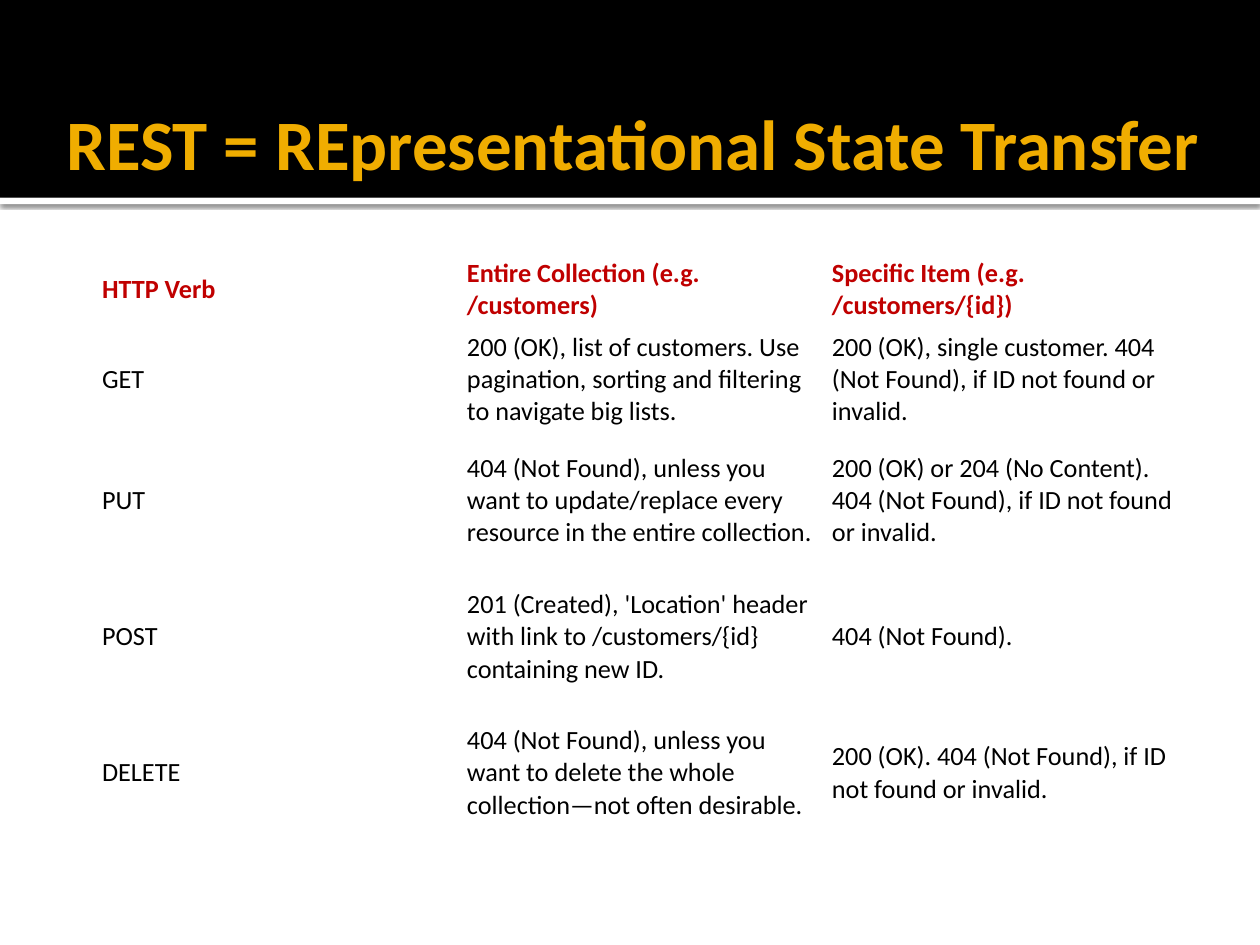
"""Build a slide on REST verbs and their responses."""
from lxml.etree import SubElement
from pptx import Presentation
from pptx.dml.color import RGBColor
from pptx.enum.shapes import MSO_SHAPE
from pptx.enum.text import MSO_ANCHOR, MSO_AUTO_SIZE, PP_ALIGN
from pptx.oxml.ns import qn
from pptx.util import Inches, Pt

BLACK = RGBColor(0x00, 0x00, 0x00)
WHITE = RGBColor(0xFF, 0xFF, 0xFF)
GOLD = RGBColor(0xF0, 0xAD, 0x00)
RED = RGBColor(0xC0, 0x00, 0x00)
FONT = "Calibri"

ROW_HEIGHTS = (0.58, 0.83, 1.08, 1.08, 1.08)
RESPONSES = (
    ("HTTP Verb", "Entire Collection (e.g. /customers)",
     "Specific Item (e.g. /customers/{id})"),
    ("GET",
     "200 (OK), list of customers. Use pagination, sorting and filtering to navigate big lists.",
     "200 (OK), single customer. 404 (Not Found), if ID not found or invalid."),
    ("PUT",
     "404 (Not Found), unless you want to update/replace every resource in the entire collection.",
     "200 (OK) or 204 (No Content). 404 (Not Found), if ID not found or invalid."),
    ("POST",
     "201 (Created), 'Location' header with link to /customers/{id} containing new ID.",
     "404 (Not Found)."),
    ("DELETE",
     "404 (Not Found), unless you want to delete the whole collection—not often desirable.",
     "200 (OK). 404 (Not Found), if ID not found or invalid."),
)


def style_runs(paragraph, size, color, bold):
    """Format every run of a paragraph."""
    for run in paragraph.runs:
        run.font.name = FONT
        run.font.size = Pt(size)
        run.font.bold = bold
        run.font.color.rgb = color


def add_band(slide, top, height, color):
    """Add a plain band across the slide."""
    band = slide.shapes.add_shape(
        MSO_SHAPE.RECTANGLE, 0, Inches(top), Inches(10), Inches(height))
    band.fill.solid()
    band.fill.fore_color.rgb = color
    band.line.fill.background()
    band.shadow.inherit = False
    return band


def add_drop_shadow(band):
    """Give a band a soft shadow below it."""
    effects = band.element.spPr.find(qn("a:effectLst"))
    shadow = SubElement(effects, qn("a:outerShdw"), blurRad=str(Pt(2.5)),
                        dist=str(Pt(0.8)), dir="5400000", rotWithShape="0")
    shade = SubElement(shadow, qn("a:srgbClr"), val=str(BLACK))
    SubElement(shade, qn("a:alpha"), val="60000")


def set_title(slide, wording):
    """Place the title in front of the header bands."""
    title = slide.shapes.title
    slide.shapes.element.append(title.element)
    title.left, title.top = Inches(0), Inches(0.5)
    title.width, title.height = Inches(10), Inches(1.25)
    frame = title.text_frame
    frame.text = wording
    frame.word_wrap = True
    frame.auto_size = MSO_AUTO_SIZE.NONE
    frame.vertical_anchor = MSO_ANCHOR.MIDDLE
    frame.margin_left = Inches(0.1)
    frame.margin_right = frame.margin_top = frame.margin_bottom = Inches(0.05)
    heading = frame.paragraphs[0]
    heading.alignment = PP_ALIGN.CENTER
    style_runs(heading, 40.5, GOLD, True)


def fill_cell(cell, wording, is_header):
    """Write one table cell."""
    cell.fill.background()
    cell.vertical_anchor = MSO_ANCHOR.MIDDLE
    cell.margin_left = cell.margin_right = Inches(0.06)
    cell.margin_top = cell.margin_bottom = Inches(0.04)
    cell.text_frame.text = wording
    style_runs(cell.text_frame.paragraphs[0], 15,
               RED if is_header else BLACK, is_header)


def add_response_table(slide):
    """Add the table of verbs and responses."""
    table = slide.shapes.add_table(
        len(RESPONSES), len(RESPONSES[0]), Inches(0.75), Inches(2),
        Inches(8.69), Inches(sum(ROW_HEIGHTS))).table
    table.first_row = table.horz_banding = False
    for row_index, (height, wordings) in enumerate(zip(ROW_HEIGHTS, RESPONSES)):
        table.rows[row_index].height = Inches(height)
        for column_index, wording in enumerate(wordings):
            fill_cell(table.cell(row_index, column_index), wording, row_index == 0)


def main():
    """Build and save the slide."""
    deck = Presentation()
    deck.slide_width, deck.slide_height = Inches(10), Inches(7.5)
    slide = deck.slides.add_slide(deck.slide_layouts[5])
    slide.background.fill.solid()
    slide.background.fill.fore_color.rgb = WHITE
    add_drop_shadow(add_band(slide, 1.57, 0.05, WHITE))
    add_band(slide, 0, 1.57, BLACK)
    set_title(slide, "REST = REpresentational State Transfer")
    add_response_table(slide)
    deck.save("out.pptx")


if __name__ == "__main__":
    main()
